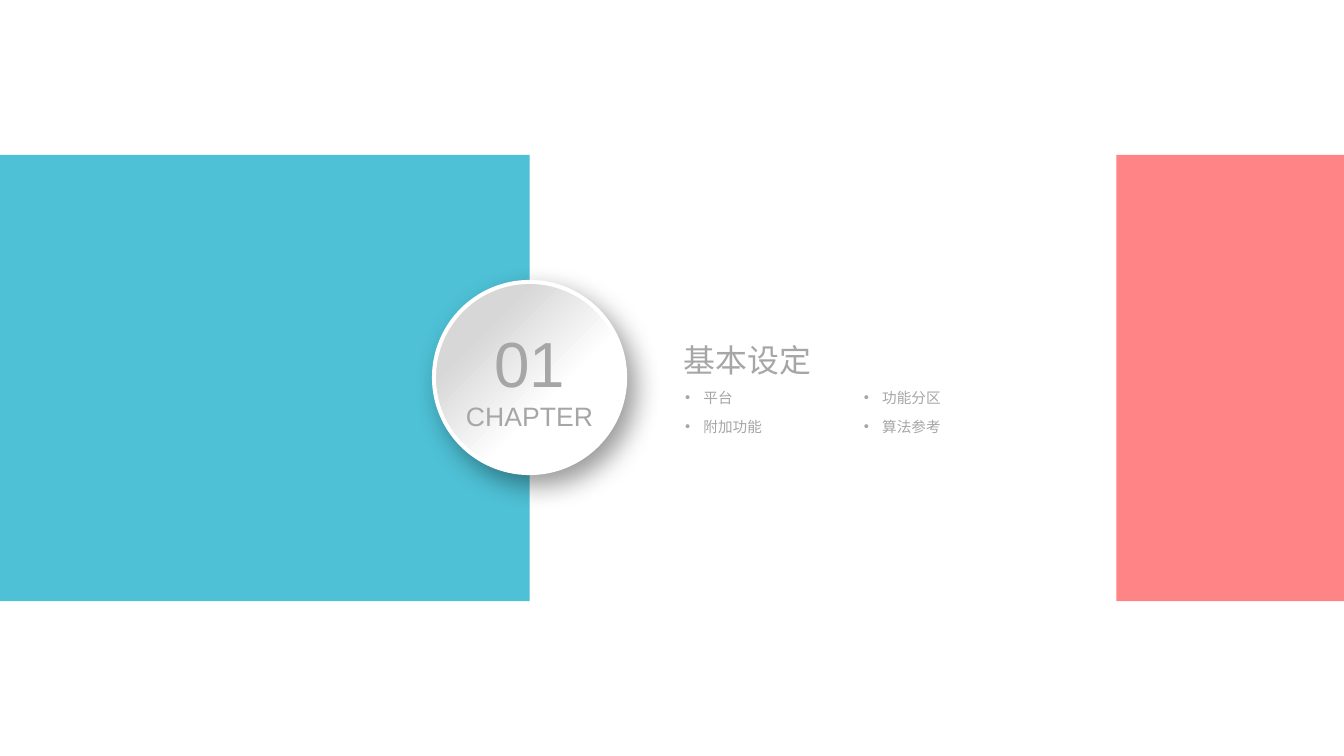
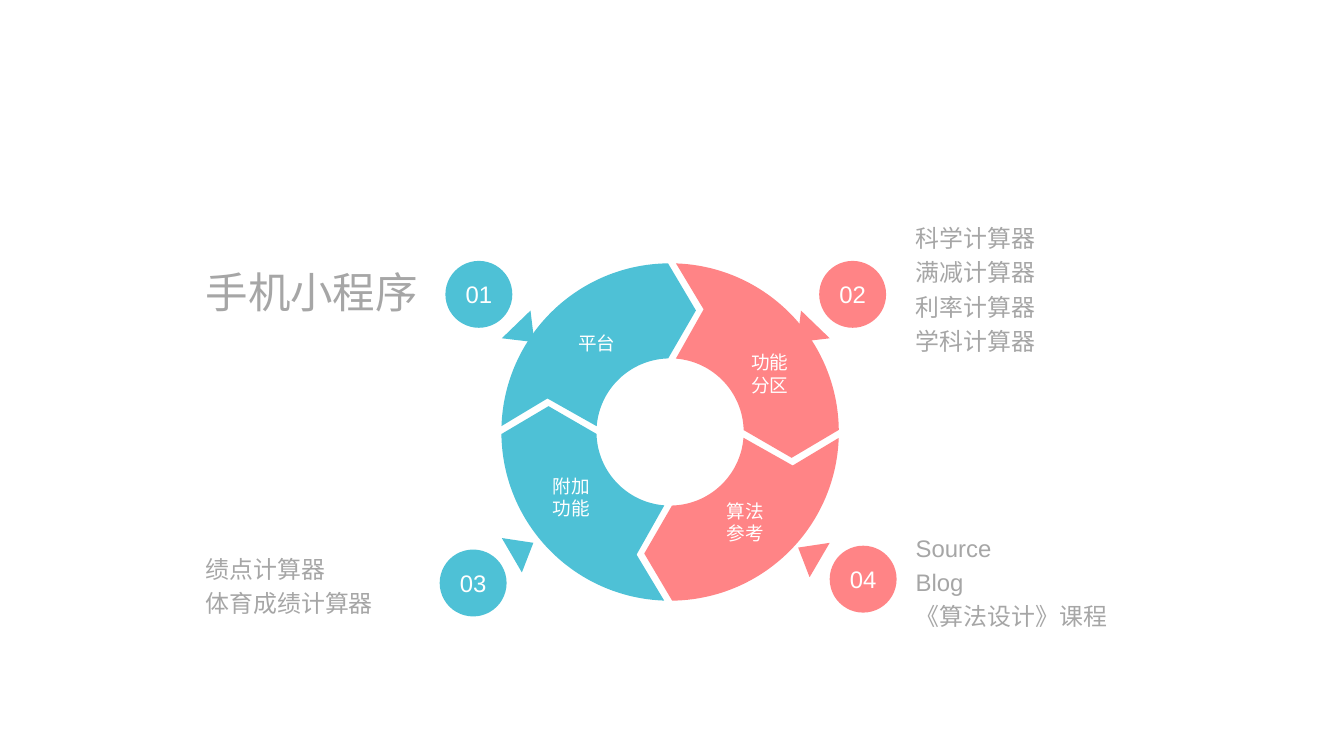
from math import atan, cos, degrees, hypot, radians, sin, tan

from lxml.etree import SubElement
from pptx import Presentation
from pptx.dml.color import RGBColor
from pptx.enum.shapes import MSO_SHAPE
from pptx.enum.text import MSO_ANCHOR, PP_ALIGN
from pptx.oxml.ns import qn
from pptx.util import Inches, Pt

TEAL = RGBColor(0x4E, 0xC1, 0xD6)
CORAL = RGBColor(0xFF, 0x84, 0x86)
GREY = RGBColor(0xA6, 0xA6, 0xA6)
SILVER = RGBColor(0xD7, 0xD7, 0xD7)
WHITE = RGBColor(0xFF, 0xFF, 0xFF)
FONT = "Arial"
WIDE, HIGH = 14.06, 7.91


def write(frame, lines, size=18, color=GREY, align=PP_ALIGN.LEFT,
          anchor=MSO_ANCHOR.TOP, inset=(0, 0), space=None, bullet=False):
    frame.word_wrap = True
    frame.vertical_anchor = anchor
    frame.margin_left = frame.margin_right = Inches(inset[0])
    frame.margin_top = frame.margin_bottom = Inches(inset[1])
    sizes = size if isinstance(size, tuple) else (size,) * len(lines)
    for index, (line, points) in enumerate(zip(lines, sizes)):
        para = frame.add_paragraph() if index else frame.paragraphs[0]
        para.alignment = align
        if space:
            para.line_spacing = space
        if bullet:
            props = para._p.get_or_add_pPr()
            props.set("marL", str(Inches(0.19)))
            props.set("indent", str(-Inches(0.19)))
            SubElement(props, qn("a:buFont")).set("typeface", FONT)
            SubElement(props, qn("a:buChar")).set("char", "•")
        run = para.add_run()
        run.text = line
        run.font.name = FONT
        run.font.size = Pt(points)
        run.font.color.rgb = color


class Deck:
    def __init__(self):
        self.show = Presentation()
        self.show.slide_width = Inches(WIDE)
        self.show.slide_height = Inches(HIGH)

    def page(self):
        self.slide = self.show.slides.add_slide(self.show.slide_layouts[6])
        self.slide.background.fill.solid()
        self.slide.background.fill.fore_color.rgb = WHITE

    def paint(self, shape, color):
        shape.shadow.inherit = False
        shape.fill.solid()
        shape.fill.fore_color.rgb = color
        shape.line.fill.background()
        return shape

    def shape(self, kind, left, top, width, height, color):
        box = map(Inches, (left, top, width, height))
        return self.paint(self.slide.shapes.add_shape(kind, *box), color)

    def disc(self, x, y, size, color):
        half = size / 2
        return self.shape(MSO_SHAPE.OVAL, x - half, y - half, size, size, color)

    def badge(self, x, y, label, color):
        write(self.disc(x, y, 0.7, color).text_frame, [label], color=WHITE,
              align=PP_ALIGN.CENTER, anchor=MSO_ANCHOR.MIDDLE)

    def medal(self, x, y, size):
        disc = self.disc(x, y, size, WHITE)
        disc.fill.gradient()
        disc.fill.gradient_angle = 315
        stops = zip(disc.fill.gradient_stops, (0.25, 0.62), (SILVER, WHITE))
        for stop, place, color in stops:
            stop.position = place
            stop.color.rgb = color
        disc.line.color.rgb = WHITE
        disc.line.width = Pt(3)
        effects = disc._element.spPr.find(qn("a:effectLst"))
        shade = SubElement(effects, qn("a:outerShdw"), blurRad=str(Pt(20)),
                           dist=str(Pt(10)), dir=str(50 * 60000),
                           algn="tl", rotWithShape="0")
        black = SubElement(shade, qn("a:srgbClr"), val="000000")
        SubElement(black, qn("a:alpha"), val="40000")

    def outline(self, points, color, bends=()):
        spots = [(Inches(x), Inches(y)) for x, y in points]
        form = self.slide.shapes.build_freeform(*spots[0])
        form.add_line_segments(spots[1:], close=True)
        shape = self.paint(form.convert_to_shape(), color)
        lines = list(shape._element.iter(qn("a:lnTo")))
        for first in bends:
            curve = lines[first].makeelement(qn("a:cubicBezTo"))
            lines[first].addprevious(curve)
            for line in lines[first:first + 3]:
                curve.append(line[0])
                line.getparent().remove(line)

    def text(self, left, top, width, height, lines, **style):
        box = map(Inches, (left, top, width, height))
        write(self.slide.shapes.add_textbox(*box).text_frame, lines, **style)


def arc(radius, start, end):
    pull = 4 / 3 * tan(radians(end - start) / 4)
    reach, swing = radius * hypot(1, pull), degrees(atan(pull))
    return [(radius, start), (reach, start + swing),
            (reach, end - swing), (radius, end)]


def sector(turn, x=7.01, y=4.52):
    edge = [(1.3, 282), *arc(1.765, 269.3, 182), (1.33, 195.3),
            *arc(0.77, 184.5, 268.5)]
    return [(x + r * cos(radians(a + turn)), y + r * sin(radians(a + turn)))
            for r, a in edge]


def chapter(deck):
    deck.page()
    deck.shape(MSO_SHAPE.RECTANGLE, 0, 1.62, 5.54, 4.67, TEAL)
    deck.shape(MSO_SHAPE.RECTANGLE, 11.68, 1.62, WIDE - 11.68, 4.67, CORAL)
    deck.medal(5.54, 3.95, 2)
    deck.text(4.71, 3.38, 1.66, 1.14, ["01", "CHAPTER"], size=(48, 20),
              align=PP_ALIGN.CENTER, anchor=MSO_ANCHOR.MIDDLE)
    deck.text(7.15, 3.56, 3.48, 0.4, ["基本设定"], size=24)
    topics = ["平台", "功能分区", "附加功能", "算法参考"]
    for index, topic in enumerate(topics):
        row, col = divmod(index, 2)
        deck.text(7.07 + 1.87 * col, 4.02 + 0.3 * row, 1.1, 0.28, [topic],
                  size=11, inset=(0.1, 0.05), bullet=True)


def wheel(deck):
    deck.page()
    upper = [(5.55, 3.25), (5.25, 3.54), (5.59, 3.58)]
    lower = [(5.25, 5.63), (5.46, 5.99), (5.58, 5.68)]
    for left, drop in ((upper, 0), (lower, 0.05)):
        deck.outline(left, TEAL)
        deck.outline([(13.93 - x, y + drop) for x, y in left], CORAL)

    badges = [(5.01, 3.08, TEAL), (8.92, 3.08, CORAL),
              (4.95, 6.1, TEAL), (9.03, 6.06, CORAL)]
    for number, (x, y, color) in enumerate(badges, 1):
        deck.badge(x, y, f"{number:02}", color)

    parts = [("平台", 5.97, 3.22, TEAL), ("功能分区", 7.78, 3.54, CORAL),
             ("算法参考", 7.52, 5.09, CORAL), ("附加功能", 5.7, 4.83, TEAL)]
    for index, (label, x, y, color) in enumerate(parts):
        deck.outline(sector(90 * index), color, bends=(1, 6))
        deck.text(x, y, 0.55, 0.74, [label], size=14, color=WHITE,
                  align=PP_ALIGN.CENTER, anchor=MSO_ANCHOR.MIDDLE)

    notes = [
        (2.15, 2.68, 2.25, 0.65, 32, ["手机小程序"]),
        (2.15, 5.74, 2.25, 0.7, 18, ["绩点计算器", "体育成绩计算器"]),
        (9.58, 2.28, 2.3, 1.45, 18,
         ["科学计算器", "满减计算器", "利率计算器", "学科计算器"]),
        (9.58, 5.52, 2.3, 1.09, 18, ["Source", "Blog", "《算法设计》课程"]),
    ]
    for x, y, width, height, size, lines in notes:
        deck.text(x, y, width, height, lines, size=size, space=1.2)


deck = Deck()
chapter(deck)
wheel(deck)
deck.show.save("out.pptx")
